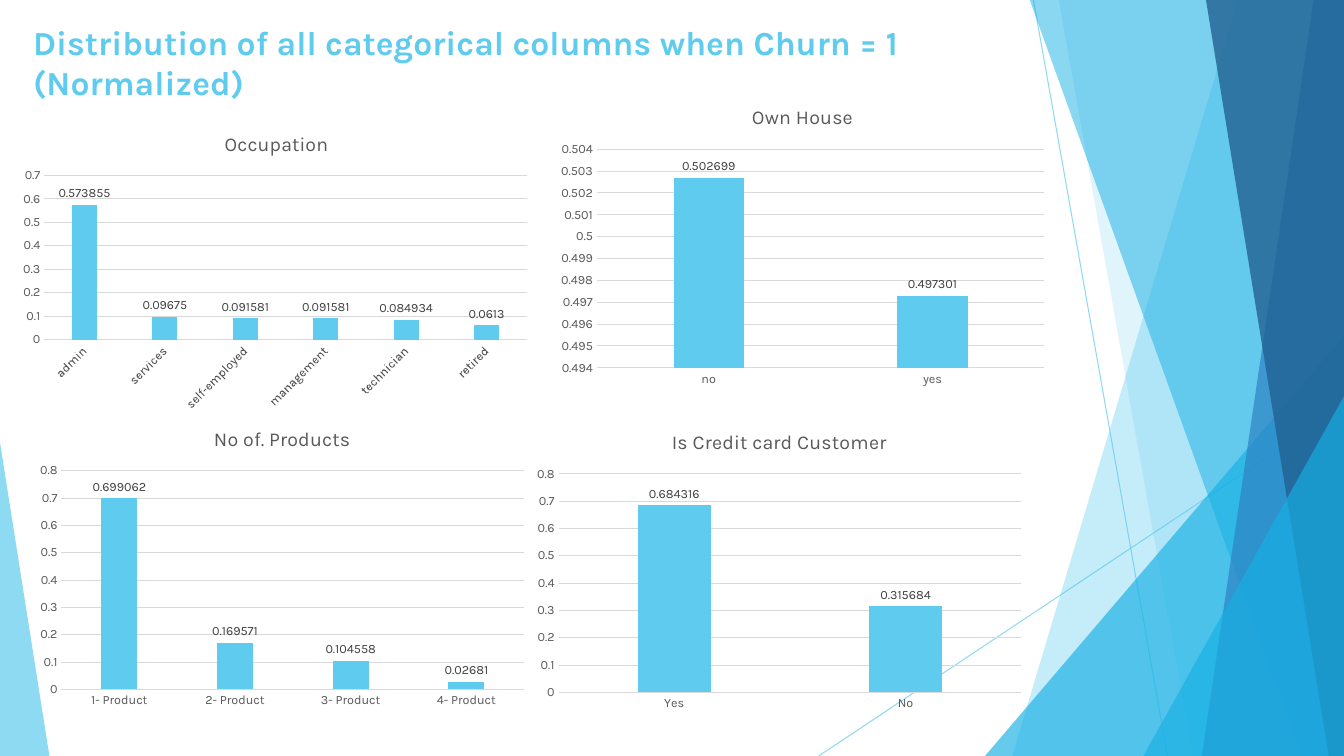
"""Build the slide on the distribution of categorical columns among churned customers."""
from lxml import etree
from pptx import Presentation
from pptx.chart.data import CategoryChartData
from pptx.dml.color import RGBColor
from pptx.enum.chart import XL_CHART_TYPE, XL_LABEL_POSITION, XL_TICK_MARK
from pptx.enum.shapes import MSO_CONNECTOR, MSO_SHAPE
from pptx.oxml import parse_xml
from pptx.oxml.ns import nsdecls, qn
from pptx.util import Pt

COLUMN = XL_CHART_TYPE.COLUMN_CLUSTERED
OUTSIDE_END = XL_LABEL_POSITION.OUTSIDE_END
NO_TICK = XL_TICK_MARK.NONE
STRAIGHT = MSO_CONNECTOR.STRAIGHT
TRIANGLE = MSO_SHAPE.ISOSCELES_TRIANGLE

PX = 9144
WIDTH, HEIGHT = 1333, 750
FONT = "Karla"
COLORS = {
    "sky": "5FCBEF", "cyan": "17B0E4", "blue": "2E83C3", "navy": "226292",
    "grid": "D9D9D9", "axis": "595959", "label": "404040", "black": "000000",
}
PANES = [
    (1228, 1004, "sky", 36),
    (1050, 1183, "sky", 20),
    (1021, 1291, "cyan", 50),
    (1303, 1192, "blue", 70),
    (1196, 1318, "navy", 80),
]
CHARTS = [
    {"title": "Occupation", "box": (23, 115, 500, 300), "plot": (31, 59, 482, 163),
     "scale": (0, 0.7, 0.1), "turn": -45,
     "values": {"admin": 0.573855, "services": 0.09675, "self-employed": 0.091581,
                "management": 0.091581, "technician": 0.084934, "retired": 0.0613}},
    {"title": "Own House", "box": (546, 89, 500, 300), "plot": (46, 59, 444, 217),
     "scale": (0.494, 0.504, 0.001), "turn": 0,
     "values": {"no": 0.502699, "yes": 0.497301}},
    {"title": "No of. Products", "box": (30, 408, 500, 300), "plot": (31, 59, 459, 217),
     "scale": (0, 0.8, 0.1), "turn": 0,
     "values": {"1- Product": 0.699062, "2- Product": 0.169571,
                "3- Product": 0.104558, "4- Product": 0.02681}},
    {"title": "Is Credit card Customer", "box": (523, 411, 500, 300),
     "plot": (31, 59, 459, 217), "scale": (0, 0.8, 0.1), "turn": 0,
     "values": {"Yes": 0.684316, "No": 0.315684}},
]


def emu(*lengths):
    """Turn px lengths into EMU."""
    return [length * PX for length in lengths]


def rgb(name):
    """Look up a named colour."""
    return RGBColor.from_string(COLORS[name])


def set_alpha(element, percent):
    """Make the solid colour inside an element partly transparent."""
    color = next(element.iter(qn("a:srgbClr")))
    etree.SubElement(color, qn("a:alpha")).set("val", str(percent * 1000))


def style_font(font, size, color, bold=False):
    """Apply the slide's typeface with a size and colour."""
    font.name, font.size, font.bold = FONT, Pt(size), bold
    font.color.rgb = rgb(color)


def paint(shape, color, percent):
    """Give a decorative shape a transparent fill and no line."""
    shape.shadow.inherit = False
    shape.fill.solid()
    shape.fill.fore_color.rgb = rgb(color)
    set_alpha(shape.fill._xPr, percent)
    shape.line.fill.background()


def add_line(page, start, end):
    """Draw a thin translucent line."""
    line = page.shapes.add_connector(STRAIGHT, *emu(*start, *end))
    line.line.color.rgb = rgb("sky")
    line.line.width = Pt(0.75)
    properties = line._element.spPr
    set_alpha(properties, 70)
    etree.SubElement(properties, qn("a:effectLst"))


def add_pane(page, top_left, bottom_left, color, percent):
    """Draw a pane that reaches from a slanted edge to the right of the page."""
    outline = page.shapes.build_freeform(top_left, -1, scale=PX)
    outline.add_line_segments([(WIDTH, -1), (WIDTH, HEIGHT), (bottom_left, HEIGHT)])
    paint(outline.convert_to_shape(), color, percent)


def add_triangle(page, left, top, right, apex, color, percent):
    """Draw a triangle that stands on the bottom of the page."""
    box = emu(left, top, right - left, HEIGHT - top)
    triangle = page.shapes.add_shape(TRIANGLE, *box)
    triangle.adjustments[0] = apex
    paint(triangle, color, percent)


def add_backdrop(page):
    """Lay out the faceted decoration from back to front."""
    add_line(page, (1025, 0), (1158, HEIGHT))
    add_line(page, (WIDTH, 403), (812, HEIGHT))
    for pane in PANES[:2]:
        add_pane(page, *pane)
    add_triangle(page, 977, 333, WIDTH, 1, "cyan", 66)
    for pane in PANES[2:]:
        add_pane(page, *pane)
    add_triangle(page, 1134, 393, WIDTH, 1, "cyan", 66)
    add_triangle(page, 0, 439, 49, 0, "sky", 70)


def add_heading(page, box, text):
    """Place the slide heading."""
    frame = page.shapes.add_textbox(*emu(*box)).text_frame
    frame.word_wrap = True
    frame.text = text
    style_font(frame.paragraphs[0].runs[0].font, 24, "sky", True)


def place_plot(chart, box, plot):
    """Fix the inner plot area within the chart's box."""
    shares = zip("xywh", (plot[0] / box[2], plot[1] / box[3],
                          plot[2] / box[2], plot[3] / box[3]))
    sizes = "".join(f'<c:{key} val="{share:.3f}"/>' for key, share in shares)
    layout = parse_xml(
        f'<c:layout {nsdecls("c")}><c:manualLayout><c:layoutTarget val="inner"/>'
        f'<c:xMode val="edge"/><c:yMode val="edge"/>{sizes}</c:manualLayout></c:layout>')
    area = chart._chartSpace.chart.plotArea
    for old in area.findall(qn("c:layout")):
        area.remove(old)
    area.insert(0, layout)


def style_axes(chart, scale, turn):
    """Style both axes and set the value scale."""
    for axis in (chart.category_axis, chart.value_axis):
        axis.major_tick_mark = axis.minor_tick_mark = NO_TICK
        style_font(axis.tick_labels.font, 9, "axis")
    categories, values = chart.category_axis, chart.value_axis
    body = categories._element.find(qn("c:txPr")).find(qn("a:bodyPr"))
    body.set("rot", str(turn * 60000))
    values.minimum_scale, values.maximum_scale, values.major_unit = scale
    values.tick_labels.number_format = "General"
    values.tick_labels.number_format_is_linked = False
    values.format.line.fill.background()
    values.has_major_gridlines = True
    for line in (categories.format.line, values.major_gridlines.format.line):
        line.color.rgb = rgb("grid")
        line.width = Pt(0.75)


def add_column_chart(page, title, box, plot, scale, turn, values):
    """Place one titled column chart in its box."""
    data = CategoryChartData()
    data.categories = list(values)
    data.add_series("Series 1", list(values.values()))
    chart = page.shapes.add_chart(COLUMN, *emu(*box), data).chart
    style_font(chart.font, 10, "black")
    chart.has_legend = False
    chart.has_title = True
    chart.chart_title.include_in_layout = False
    frame = chart.chart_title.text_frame
    frame.text = title
    style_font(frame.paragraphs[0].runs[0].font, 14, "axis")
    style_axes(chart, scale, turn)
    place_plot(chart, box, plot)
    columns = chart.plots[0]
    columns.gap_width, columns.overlap = 219, -27
    columns.vary_by_categories = False
    series = columns.series[0]
    series.format.fill.solid()
    series.format.fill.fore_color.rgb = rgb("sky")
    labels = series.data_labels
    labels.show_value = True
    labels.position = OUTSIDE_END
    style_font(labels.font, 9, "label")


def main():
    """Build and save the deck."""
    deck = Presentation()
    deck.slide_width, deck.slide_height = emu(WIDTH, HEIGHT)
    page = deck.slides.add_slide(deck.slide_layouts[6])
    add_backdrop(page)
    add_heading(page, (23, 17, 940, 144),
                "Distribution of all categorical columns when Churn = 1 (Normalized)")
    for chart in CHARTS:
        add_column_chart(page, **chart)
    deck.save("out.pptx")


if __name__ == "__main__":
    main()
